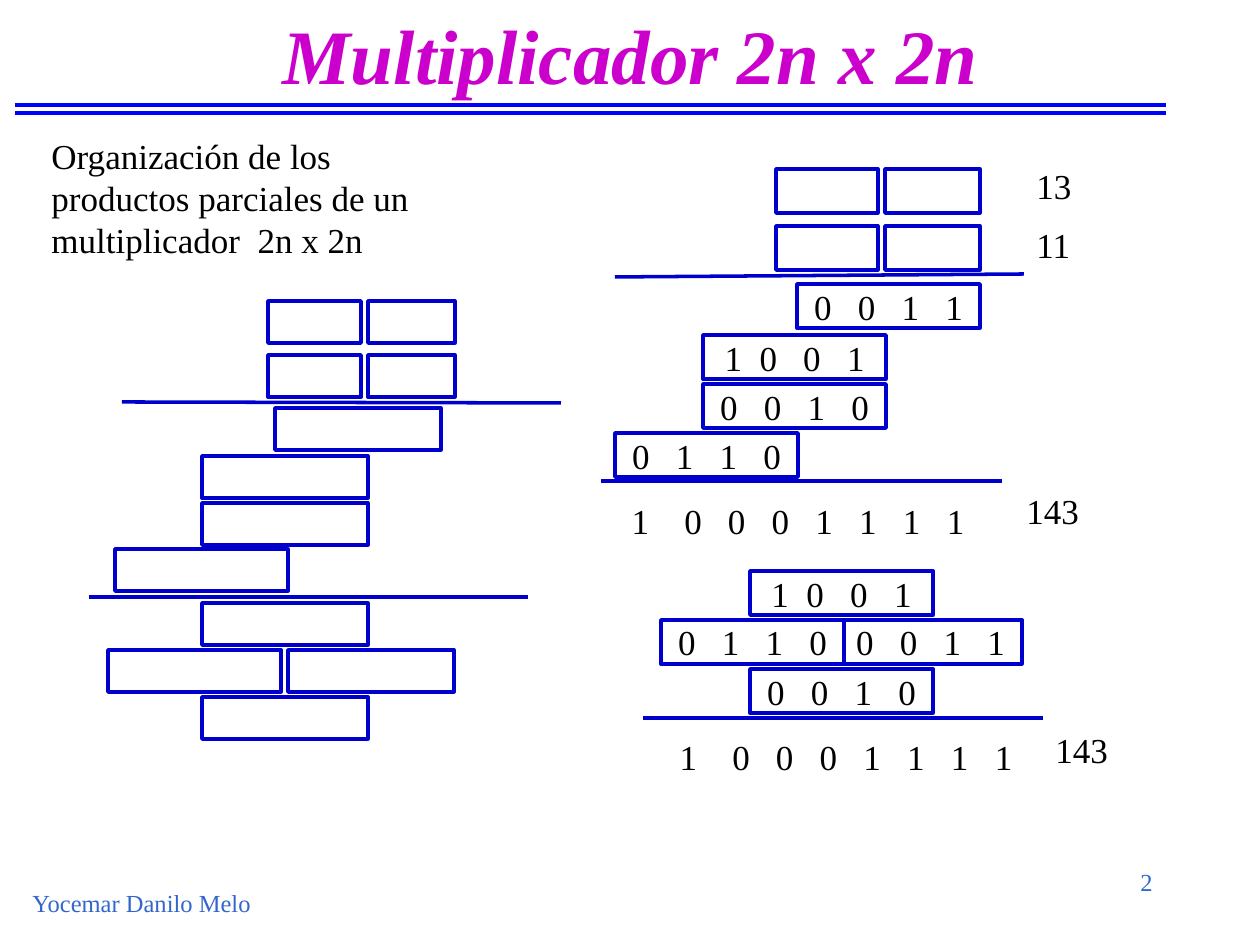
from dataclasses import dataclass

from lxml.etree import SubElement
from pptx import Presentation
from pptx.dml.color import RGBColor
from pptx.enum.shapes import MSO_CONNECTOR, MSO_SHAPE
from pptx.enum.text import MSO_ANCHOR, PP_ALIGN
from pptx.oxml.ns import qn
from pptx.util import Emu, Pt


@dataclass(frozen=True)
class Theme:
    font: str = "Times New Roman"
    title: RGBColor = RGBColor(0xCC, 0x00, 0xCC)
    rule: RGBColor = RGBColor(0x00, 0x00, 0xFF)
    outline: RGBColor = RGBColor(0x00, 0x00, 0xCC)
    paper: RGBColor = RGBColor(0xFF, 0xFF, 0xFF)
    ink: RGBColor = RGBColor(0x00, 0x00, 0x00)
    footer: RGBColor = RGBColor(0x33, 0x66, 0xCC)
    title_size: int = 44
    body_size: int = 20
    footer_size: int = 14
    rule_width: float = 2.25
    outline_width: float = 2


THEME = Theme()
PX_PER_INCH = 126
CELL_HEIGHT = 44
PRODUCT_WIDTH = 183
TOTAL_WIDTH = 394
SCHEMATIC_HEIGHT = 42
NORMAL_GAP = 3


def px(length):
    return Emu(round(length * 914400 / PX_PER_INCH))


def style(paragraph, size, color, bold=False, italic=False):
    font = paragraph.font
    font.name = THEME.font
    font.size = Pt(size)
    font.color.rgb = color
    font.bold = bold
    font.italic = italic


def add_text(page, text, left, top, width, height, size=THEME.body_size,
             color=THEME.ink, align=PP_ALIGN.LEFT, anchor=MSO_ANCHOR.TOP, emphasis=False):
    box = page.shapes.add_textbox(px(left), px(top), px(width), px(height))
    frame = box.text_frame
    frame.word_wrap = True
    frame.vertical_anchor = anchor
    paragraph = frame.paragraphs[0]
    paragraph.text = text
    paragraph.alignment = align
    style(paragraph, size, color, emphasis, emphasis)


def add_line(shapes, start, end, color=THEME.outline, width=THEME.outline_width):
    line = shapes.add_connector(MSO_CONNECTOR.STRAIGHT, *map(px, start + end))
    line.line.color.rgb = color
    line.line.width = Pt(width)
    SubElement(line._element.spPr, qn("a:effectLst"))


def add_cell(shapes, left, top, width, height=CELL_HEIGHT, outline=THEME.outline):
    cell = shapes.add_shape(MSO_SHAPE.RECTANGLE, px(left), px(top), px(width), px(height))
    cell.shadow.inherit = False
    cell.fill.solid()
    cell.fill.fore_color.rgb = THEME.paper
    cell.line.color.rgb = outline
    cell.line.width = Pt(THEME.outline_width)
    return cell


def add_digits(page, digits, left, top, width=PRODUCT_WIDTH, first_gap=NORMAL_GAP,
               outline=THEME.outline):
    """Spread the digits by character spacing; first_gap counts space widths after the first."""
    cell = add_cell(page.shapes, left, top, width, outline=outline)
    frame = cell.text_frame
    frame.word_wrap = True
    frame.vertical_anchor = MSO_ANCHOR.MIDDLE
    frame.margin_left = frame.margin_right = 0
    paragraph = frame.paragraphs[0]
    paragraph.alignment = PP_ALIGN.CENTER
    spaced = " ".join(digits)
    # A space is a quarter em, and each gap is shared by a digit and its space.
    per_space = THEME.body_size * 100 // 8
    pieces = ((spaced[:2], first_gap - 1), (spaced[2:-1], NORMAL_GAP - 1), (spaced[-1], 0))
    for text, extra in pieces:
        span = paragraph.add_run()
        span.text = text
        span._r.get_or_add_rPr().set("spc", str(extra * per_space))
    style(paragraph, THEME.body_size, THEME.ink)


def add_total(page, left, top):
    add_digits(page, "10001111", left, top, TOTAL_WIDTH, first_gap=4, outline=THEME.paper)


def add_frame(page):
    add_text(page, "2", 903, 861, 262, 63, THEME.footer_size, THEME.footer, PP_ALIGN.RIGHT)
    for y in (105, 113):
        add_line(page.shapes, (15, y), (1166, y), THEME.rule, THEME.rule_width)
    add_text(page, "Multiplicador 2n x 2n", 95, 0, 1071, 108, THEME.title_size,
             THEME.title, PP_ALIGN.CENTER, MSO_ANCHOR.MIDDLE, emphasis=True)
    add_text(page, "Yocemar Danilo Melo", 20, 882, 262, 63, THEME.footer_size, THEME.footer)


def add_schematic(page):
    shapes = page.shapes.add_group_shape().shapes
    for top in (301, 355):
        add_cell(shapes, 268, top, 93, SCHEMATIC_HEIGHT)
        add_cell(shapes, 368, top, 87, SCHEMATIC_HEIGHT)
    partial_products = ((275, 408, 166), (202, 456, 166), (202, 503, 166), (115, 549, 173))
    regrouped = ((202, 603, 166), (108, 650, 173), (288, 650, 166), (202, 697, 166))
    for left, top, width in partial_products + regrouped:
        add_cell(shapes, left, top, width, SCHEMATIC_HEIGHT)
    add_line(shapes, (122, 402), (561, 403))
    add_line(shapes, (89, 597), (528, 597))


def add_worked_example(page):
    for top in (169, 226):
        add_cell(page.shapes, 776, top, 102)
        add_cell(page.shapes, 885, top, 95)
    add_digits(page, "0011", 797, 284)
    add_digits(page, "1001", 703, 335, first_gap=2)
    add_digits(page, "0010", 703, 384)
    add_digits(page, "0110", 615, 433)
    add_total(page, 601, 498)
    add_line(page.shapes, (601, 481), (1002, 481))
    add_line(page.shapes, (615, 277), (1024, 274))
    add_text(page, "13", 1024, 158, 88, 55)
    add_text(page, "11", 1024, 217, 69, 55)
    add_text(page, "143", 1014, 483, 80, 55)


def add_regrouped_example(page):
    add_digits(page, "0011", 839, 620)
    add_digits(page, "1001", 750, 571, first_gap=2)
    add_digits(page, "0010", 750, 669)
    add_digits(page, "0110", 661, 620)
    add_total(page, 649, 734)
    add_line(page.shapes, (643, 718), (1043, 718))
    add_text(page, "143", 1043, 722, 80, 55)


def main():
    deck = Presentation()
    deck.slide_width = px(1260)
    deck.slide_height = px(945)
    page = deck.slides.add_slide(deck.slide_layouts[6])
    add_frame(page)
    add_schematic(page)
    add_text(page, "Organización de los productos parciales de un multiplicador  2n x 2n",
             39, 128, 423, 140)
    add_worked_example(page)
    add_regrouped_example(page)
    deck.save("out.pptx")


if __name__ == "__main__":
    main()
